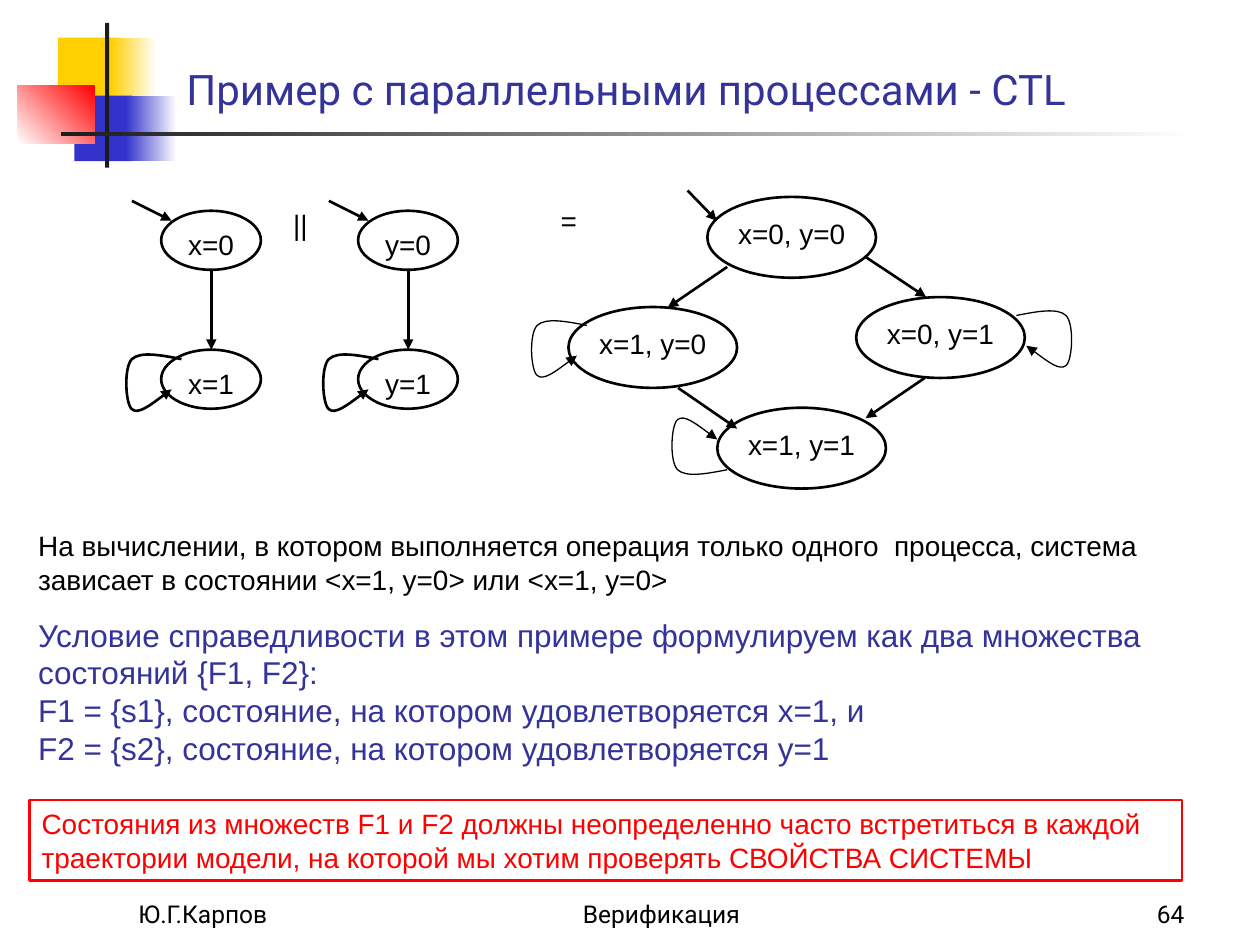
from dataclasses import dataclass

from lxml import etree
from pptx import Presentation
from pptx import util as u
from pptx.dml.color import RGBColor
from pptx.enum import shapes, text
from pptx.oxml.ns import qn


@dataclass(frozen=True)
class Theme:
    black: str = "000000"
    white: str = "FFFFFF"
    rule: str = "1C1C1C"
    yellow: str = "FFCF01"
    blue: str = "3333CC"
    red: str = "FF0000"
    navy: str = "333399"
    body_font: str = "Arial"
    head_font: str = "Roboto"
    title: float = 24
    accent: float = 18
    body: float = 16
    footer: float = 14
    stroke: float = 1.5
    thin: float = 0.75


T = Theme()
RECT = shapes.MSO_SHAPE.RECTANGLE
ELLIPSE = shapes.MSO_SHAPE.OVAL
LEFT, CENTER, RIGHT = text.PP_ALIGN.LEFT, text.PP_ALIGN.CENTER, text.PP_ALIGN.RIGHT
TOP, BOTTOM = text.MSO_ANCHOR.TOP, text.MSO_ANCHOR.BOTTOM

# Control points of a self-loop, in cm from its start: three cubic curves
LOOP = [(-0.41, -0.08), (-0.83, -0.16), (-1, 0), (-1.17, 0.17), (-1.13, 0.91),
        (-1, 1.01), (-0.87, 1.12), (-0.54, 0.86), (-0.2, 0.61)]


def rgb(color):
    return RGBColor.from_string(color)


def cm(*values):
    return [u.Cm(v) for v in values]


def stroke(sp, color=T.black, width=T.stroke):
    sp.line.color.rgb = rgb(color)
    sp.line.width = u.Pt(width)


def arrowhead(sp):
    ln = sp._element.spPr.find(qn("a:ln"))
    etree.SubElement(ln, qn("a:tailEnd"), type="triangle")


def add_block(s, box, start, end=None, angle=0):
    """Borderless rectangle, plain or fading from start to end."""
    sp = s.shapes.add_shape(RECT, *cm(*box))
    sp.shadow.inherit = False
    sp.line.fill.background()
    if end is None:
        sp.fill.solid()
        sp.fill.fore_color.rgb = rgb(start)
    else:
        sp.fill.gradient()
        sp.fill.gradient_angle = angle
        for stop, color in zip(sp.fill.gradient_stops, (start, end)):
            stop.color.rgb = rgb(color)
            stop.position = 0 if color == start else 1


def add_outline(s, kind, box, color=T.black):
    sp = s.shapes.add_shape(kind, *cm(*box))
    sp.shadow.inherit = False
    sp.fill.background()
    stroke(sp, color)
    return sp


def write(sp, paragraphs, font=T.body_font, align=LEFT, anchor=TOP, side=0.25):
    """Fill a shape from (text, size, colour, space before) paragraphs."""
    tf = sp.text_frame
    tf.word_wrap = True
    tf.vertical_anchor = anchor
    tf.margin_left = tf.margin_right = u.Cm(side)
    tf.margin_top = tf.margin_bottom = u.Cm(0.13)
    for i, (content, size, color, before) in enumerate(paragraphs):
        p = tf.add_paragraph() if i else tf.paragraphs[0]
        p.alignment = align
        p.space_before = u.Pt(before)
        for j, line in enumerate(content.split("\n")):
            if j:
                p.add_line_break()
            r = p.add_run()
            r.text = line
            r.font.name = font
            r.font.size = u.Pt(size)
            r.font.color.rgb = rgb(color)


def add_text(s, box, content, size=T.body, color=T.black, **style):
    write(s.shapes.add_textbox(*cm(*box)), [(content, size, color, 0)], **style)


def add_state(s, label, x, y, w, h, label_w, label_dy):
    add_outline(s, ELLIPSE, (x, y, w, h))
    box = (x + (w - label_w) / 2, y + label_dy, label_w, 0.94)
    add_text(s, box, label, align=CENTER, side=0)


def add_arrow(s, *ends):
    sp = s.shapes.add_connector(shapes.MSO_CONNECTOR.STRAIGHT, *cm(*ends))
    stroke(sp)
    arrowhead(sp)
    etree.SubElement(sp._element.spPr, qn("a:effectLst"))


def curve_segments(sp):
    """Turn every three line segments into one cubic curve."""
    lines = list(sp._element.iter(qn("a:lnTo")))
    for i in range(0, len(lines), 3):
        curve = etree.Element(qn("a:cubicBezTo"))
        lines[i].addprevious(curve)
        for line in lines[i:i + 3]:
            curve.append(line[0])
            line.getparent().remove(line)


def add_loop(s, x, y, width, flip_x=1, flip_y=1):
    """Self-loop arrow starting at x, y."""
    builder = s.shapes.build_freeform(*cm(x, y))
    builder.add_line_segments([cm(x + flip_x * dx, y + flip_y * dy) for dx, dy in LOOP],
                              close=False)
    sp = builder.convert_to_shape()
    curve_segments(sp)
    sp.shadow.inherit = False
    sp.fill.background()
    stroke(sp, width=width)
    arrowhead(sp)


def add_process(s, var, x):
    """Two-state process whose ellipses start at x."""
    for i, y in enumerate((4.25, 7.05)):
        add_state(s, f"{var}={i}", x, y, 2.01, 1.19, 1.6, 0.2)
    add_arrow(s, x + 1.01, 5.44, x + 1.01, 7.05)
    add_arrow(s, x - 0.59, 4.05, x + 0.21, 4.45)
    add_loop(s, x + 0.41, 7.24, T.stroke)


def add_product(s):
    for label, x, y in (("x=0, у=0", 14.26, 3.97), ("x=1, у=0", 11.46, 6.19),
                        ("x=0, у=1", 17.26, 5.99), ("x=1, у=1", 14.46, 8.22)):
        add_state(s, label, x, y, 3.4, 1.63, 2.72, 0.27)
    for ends in ((13.86, 3.84, 14.45, 4.45), (14.66, 5.38, 13.46, 6.2),
                 (17.45, 5.18, 18.67, 5.99), (13.67, 7.82, 14.86, 8.64),
                 (18.64, 7.62, 17.45, 8.43)):
        add_arrow(s, *ends)
    add_loop(s, 11.83, 6.56, T.thin)
    add_loop(s, 20.49, 6.36, T.thin, flip_x=-1)
    add_loop(s, 14.66, 9.47, T.thin, flip_y=-1)


def add_decoration(s):
    add_block(s, (1.17, 0.76, 1.22, 1.32), T.yellow)
    add_block(s, (2.24, 0.76, 0.91, 1.32), T.yellow, T.white)
    add_block(s, (1.5, 1.93, 1.17, 1.32), T.blue)
    add_block(s, (2.54, 1.93, 1.02, 1.32), T.blue, T.white)
    add_block(s, (0.36, 1.73, 1.55, 1.17), T.white, T.red, angle=45)
    add_block(s, (2.12, 0.46, 0.08, 2.92), T.rule)
    add_block(s, (1.23, 2.67, 22.86, 0.08), T.rule, T.white)


def main():
    prs = Presentation()
    prs.slide_width, prs.slide_height = cm(25.4, 19.05)
    s = prs.slides.add_slide(prs.slide_layouts[6])

    # Heading
    add_decoration(s)
    add_text(s, (3.51, 0.72, 20.8, 1.7), "Пример с параллельными процессами - CTL",
             T.title, T.navy, font=T.head_font, anchor=BOTTOM)

    # Processes and their product
    add_process(s, "х", 3.25)
    add_process(s, "у", 7.22)
    add_text(s, (5.46, 4.05, 1.19, 0.94), "||", align=CENTER)
    add_text(s, (10.87, 3.97, 1.19, 0.94), "=", align=CENTER)
    add_product(s)

    # Explanation
    write(add_outline(s, RECT, (0.59, 16.13, 23.24, 1.62), T.red), [
        ("Состояния из множеств F1 и F2 должны неопределенно часто встретиться в каждой "
         "траектории модели, на которой мы хотим проверять СВОЙСТВА СИСТЕМЫ",
         T.body, T.red, 0)])
    write(s.shapes.add_textbox(*cm(0.52, 10.53, 23.88, 5.05)), [
        ("На вычислении, в котором выполняется операция только одного  процесса, "
         "система зависает в состоянии <x=1, y=0> или <x=1, y=0>", T.body, T.black, 0),
        ("Условие справедливости в этом примере формулируем как два множества "
         "состояний {F1, F2}:\n"
         "F1 = {s1}, состояние, на котором удовлетворяется x=1, и\n"
         "F2 = {s2}, состояние, на котором удовлетворяется y=1", T.accent, T.navy, 11.2)])

    # Footer
    for content, x, w, align in (("Ю.Г.Карпов", 2.54, 5.28, LEFT),
                                 ("Верификация", 9.31, 8.05, CENTER),
                                 ("64", 18.85, 5.28, RIGHT)):
        add_text(s, (x, 17.58, w, 1.27), content, T.footer,
                 font=T.head_font, align=align, anchor=BOTTOM)

    prs.save("out.pptx")


if __name__ == "__main__":
    main()
